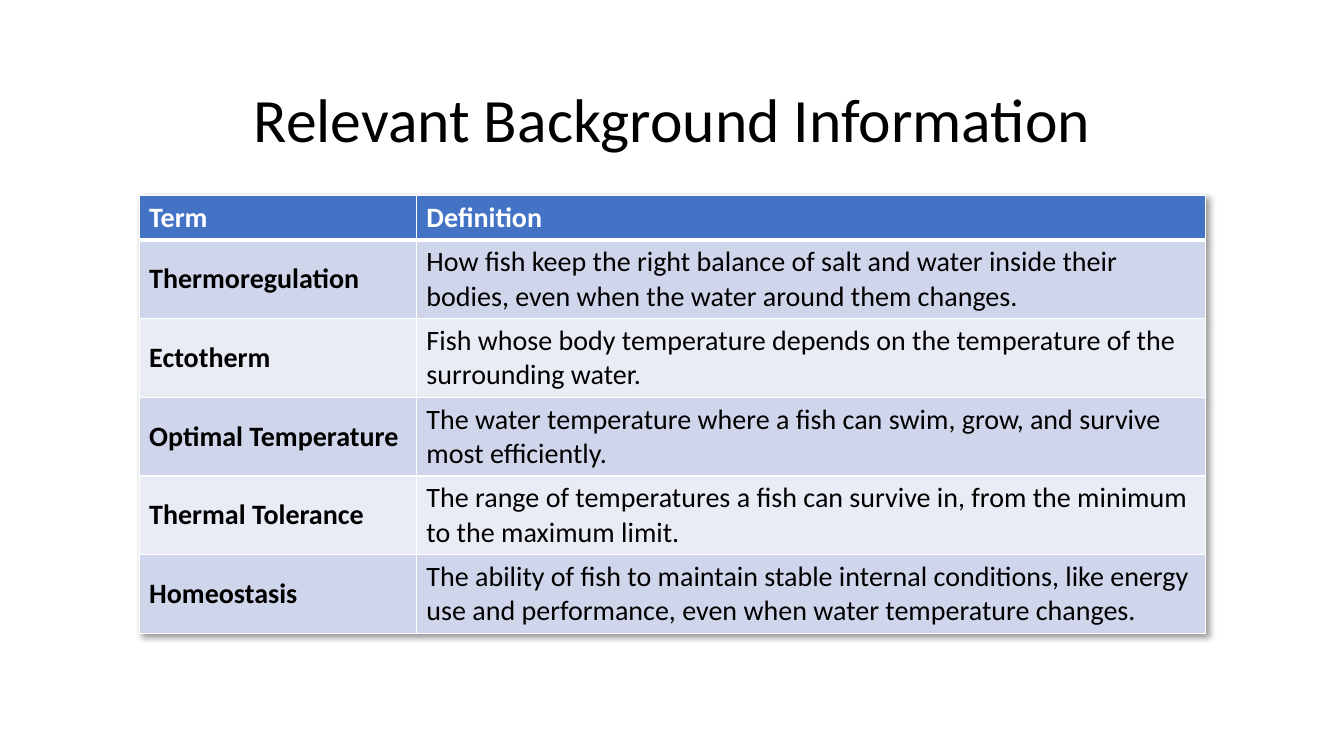
from lxml import etree
from pptx import Presentation, util as u
from pptx.dml.color import RGBColor
from pptx.enum import text
from pptx.oxml import parse_xml
from pptx.oxml.ns import nsdecls, qn

WHITE = RGBColor(0xFF, 0xFF, 0xFF)
BLACK = RGBColor(0x00, 0x00, 0x00)
HEADER_BLUE = RGBColor(0x44, 0x72, 0xC4)
BANDS = [RGBColor(0xE9, 0xEB, 0xF5), RGBColor(0xCF, 0xD5, 0xEA)]

GLOSSARY = [
    ("Term", "Definition"),
    ("Thermoregulation", "How fish keep the right balance of salt and water inside "
     "their bodies, even when the water around them changes."),
    ("Ectotherm", "Fish whose body temperature depends on the temperature of the "
     "surrounding water."),
    ("Optimal Temperature", "The water temperature where a fish can swim, grow, and "
     "survive most efficiently."),
    ("Thermal Tolerance", "The range of temperatures a fish can survive in, from the "
     "minimum to the maximum limit."),
    ("Homeostasis", "The ability of fish to maintain stable internal conditions, like "
     "energy use and performance, even when water temperature changes."),
]
COLUMN_WIDTHS = [2.75, 7.83]
ROW_HEIGHTS = [0.43] + [0.78] * (len(GLOSSARY) - 1)


def format_font(font, color, **values):
    font.color.rgb = color
    for name, value in {"name": "Calibri", **values}.items():
        setattr(font, name, value)


def add_border(cell, side, points):
    line = etree.SubElement(cell._tc.get_or_add_tcPr(), qn("a:ln" + side),
                            w=str(u.Pt(points)))
    fill = etree.SubElement(line, qn("a:solidFill"))
    etree.SubElement(fill, qn("a:srgbClr"), val=str(WHITE))


deck = Presentation()
deck.slide_width, deck.slide_height = u.Inches(13.33), u.Inches(7.5)
slide = deck.slides.add_slide(deck.slide_layouts[5])

# Title
heading = slide.shapes.title
for side, inches in {"left": 0.92, "top": 0.49, "width": 11.5, "height": 1.45}.items():
    setattr(heading, side, u.Inches(inches))
heading.text_frame.text = "Relevant Background Information"
heading.text_frame.vertical_anchor = text.MSO_ANCHOR.MIDDLE
heading_line = heading.text_frame.paragraphs[0]
heading_line.alignment = text.PP_ALIGN.CENTER
heading_line.line_spacing = 0.9
format_font(heading_line.runs[0].font, BLACK, size=u.Pt(44))

# Glossary grid
glossary = slide.shapes.add_table(
    len(GLOSSARY), len(COLUMN_WIDTHS), u.Inches(1.38), u.Inches(1.94),
    u.Inches(sum(COLUMN_WIDTHS)), u.Inches(sum(ROW_HEIGHTS))).table
for column, width in zip(glossary.columns, COLUMN_WIDTHS):
    column.width = u.Inches(width)
for row, height in zip(glossary.rows, ROW_HEIGHTS):
    row.height = u.Inches(height)

# Soft shadow below and to the right of the table
glossary._tbl.tblPr.insert(0, parse_xml(
    f'<a:effectLst {nsdecls("a")}><a:outerShdw blurRad="50800" dist="38100" '
    'dir="2700000" algn="tl" rotWithShape="0"><a:srgbClr val="000000">'
    '<a:alpha val="40000"/></a:srgbClr></a:outerShdw></a:effectLst>'))

# Terms and definitions
for r, entry in enumerate(GLOSSARY):
    is_header = r == 0
    for c, wording in enumerate(entry):
        cell = glossary.cell(r, c)
        cell.text = wording
        cell.vertical_anchor = text.MSO_ANCHOR.MIDDLE
        format_font(cell.text_frame.paragraphs[0].runs[0].font,
                    WHITE if is_header else BLACK,
                    size=u.Pt(20), bold=is_header or c == 0)
        for side in "LRTB":
            thick = (side == "B" and is_header) or (side == "T" and r == 1)
            add_border(cell, side, 3 if thick else 1)
        cell.fill.solid()
        cell.fill.fore_color.rgb = HEADER_BLUE if is_header else BANDS[r % 2]

deck.save("out.pptx")
